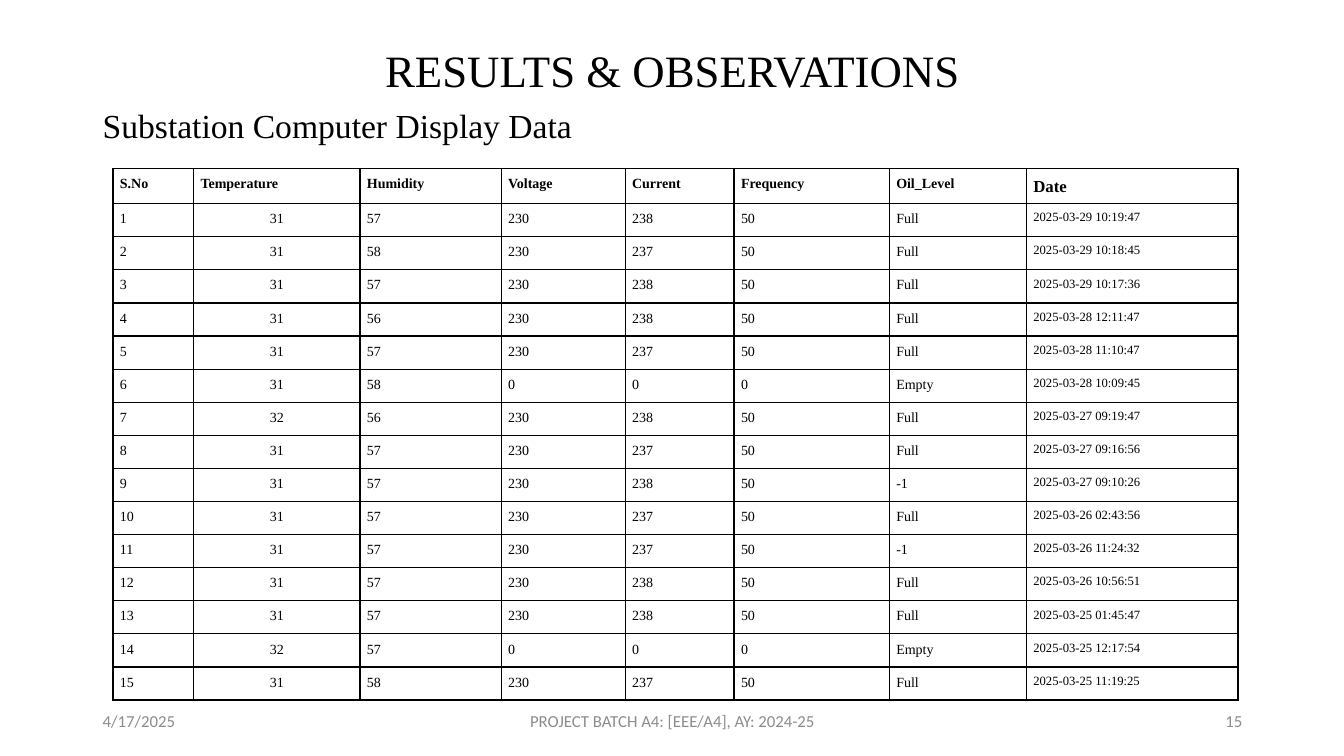
from dataclasses import dataclass

from lxml.etree import SubElement
from pptx import Presentation
from pptx.dml.color import RGBColor
from pptx.enum.text import MSO_ANCHOR, PP_ALIGN
from pptx.oxml.ns import qn
from pptx.util import Inches, Pt


@dataclass(frozen=True)
class Theme:
    serif: str = "Times New Roman"
    sans: str = "Calibri"
    ink: str = "000000"
    muted: str = "8C8C8C"
    title_size: int = 32
    subtitle_size: int = 24
    footer_size: int = 12
    date_header_size: int = 12
    cell_size: int = 10
    date_size: int = 9
    border_width: int = 1


HEADERS = ("S.No", "Temperature", "Humidity", "Voltage", "Current",
           "Frequency", "Oil_Level", "Date")
COLUMN_WIDTHS = (0.8, 1.65, 1.4, 1.23, 1.08, 1.54, 1.36, 2.1)
HEADER_HEIGHT = 0.35
TABLE_HEIGHT = 5.28
TEMPERATURE_COLUMN = HEADERS.index("Temperature")
DATE_COLUMN = HEADERS.index("Date")
READINGS = (
    (31, 57, 230, 238, 50, "Full", "2025-03-29 10:19:47"),
    (31, 58, 230, 237, 50, "Full", "2025-03-29 10:18:45"),
    (31, 57, 230, 238, 50, "Full", "2025-03-29 10:17:36"),
    (31, 56, 230, 238, 50, "Full", "2025-03-28 12:11:47"),
    (31, 57, 230, 237, 50, "Full", "2025-03-28 11:10:47"),
    (31, 58, 0, 0, 0, "Empty", "2025-03-28 10:09:45"),
    (32, 56, 230, 238, 50, "Full", "2025-03-27 09:19:47"),
    (31, 57, 230, 237, 50, "Full", "2025-03-27 09:16:56"),
    (31, 57, 230, 238, 50, "-1", "2025-03-27 09:10:26"),
    (31, 57, 230, 237, 50, "Full", "2025-03-26 02:43:56"),
    (31, 57, 230, 237, 50, "-1", "2025-03-26 11:24:32"),
    (31, 57, 230, 238, 50, "Full", "2025-03-26 10:56:51"),
    (31, 57, 230, 238, 50, "Full", "2025-03-25 01:45:47"),
    (32, 57, 0, 0, 0, "Empty", "2025-03-25 12:17:54"),
    (31, 58, 230, 237, 50, "Full", "2025-03-25 11:19:25"),
)


def apply(target, formats):
    for name, value in formats.items():
        setattr(target, name, value)


class SlideBuilder:
    def __init__(self, page, theme):
        self.page = page
        self.theme = theme

    def fill_text(self, frame, words, font, size, color, bold=False, **paragraph):
        para = frame.paragraphs[0]
        apply(para, paragraph)
        span = para.add_run()
        span.text = words
        apply(span.font, {"name": font, "size": Pt(size), "bold": bold})
        span.font.color.rgb = RGBColor.from_string(color)

    def text(self, words, left, top, width, height, font, size, color,
             anchor=MSO_ANCHOR.MIDDLE, **paragraph):
        box = self.page.shapes.add_textbox(
            Inches(left), Inches(top), Inches(width), Inches(height))
        apply(box.text_frame, {"word_wrap": True, "vertical_anchor": anchor})
        self.fill_text(box.text_frame, words, font, size, color, **paragraph)

    def footer(self, words, left, width, alignment):
        self.text(words, left, 6.95, width, 0.4, self.theme.sans,
                  self.theme.footer_size, self.theme.muted, alignment=alignment)

    def border(self, cell):
        properties = cell._tc.get_or_add_tcPr()
        for side in ("a:lnL", "a:lnR", "a:lnT", "a:lnB"):
            line = SubElement(properties, qn(side),
                              w=str(Pt(self.theme.border_width)))
            fill = SubElement(line, qn("a:solidFill"))
            SubElement(fill, qn("a:srgbClr"), val=self.theme.ink)

    def cell(self, cell, words, size, bold, alignment):
        apply(cell, {"margin_left": Inches(0.07), "margin_right": Inches(0.07),
                     "margin_top": 0, "margin_bottom": 0})
        self.border(cell)
        cell.fill.background()
        self.fill_text(cell.text_frame, words, self.theme.serif, size,
                       self.theme.ink, bold, alignment=alignment,
                       line_spacing=1.5)

    def readings_table(self, left, top):
        records = [HEADERS] + [(number, *reading) for number, reading
                               in enumerate(READINGS, 1)]
        table = self.page.shapes.add_table(
            len(records), len(HEADERS), Inches(left), Inches(top),
            Inches(sum(COLUMN_WIDTHS)), Inches(TABLE_HEIGHT)).table
        apply(table, {"first_row": False, "horz_banding": False})
        for column, width in zip(table.columns, COLUMN_WIDTHS):
            column.width = Inches(width)
        reading_height = (TABLE_HEIGHT - HEADER_HEIGHT) / len(READINGS)
        for row_index, record in enumerate(records):
            header = row_index == 0
            table.rows[row_index].height = Inches(
                HEADER_HEIGHT if header else reading_height)
            for column_index, value in enumerate(record):
                size, alignment = self.theme.cell_size, PP_ALIGN.LEFT
                if column_index == DATE_COLUMN:
                    size = (self.theme.date_header_size if header
                            else self.theme.date_size)
                if column_index == TEMPERATURE_COLUMN and not header:
                    alignment = PP_ALIGN.CENTER
                self.cell(table.cell(row_index, column_index), str(value),
                          size, header, alignment)


def main():
    deck = Presentation()
    apply(deck, {"slide_width": Inches(13.33), "slide_height": Inches(7.5)})
    theme = Theme()
    builder = SlideBuilder(deck.slides.add_slide(deck.slide_layouts[6]), theme)
    builder.text("RESULTS & OBSERVATIONS", 0.92, 0.4, 11.5, 0.64, theme.serif,
                 theme.title_size, theme.ink,
                 alignment=PP_ALIGN.CENTER, line_spacing=0.9)
    builder.text("Substation Computer Display Data", 0.92, 1.04, 11.5, 5.72,
                 theme.serif, theme.subtitle_size, theme.ink, MSO_ANCHOR.TOP,
                 line_spacing=0.9, space_before=Pt(10))
    builder.footer("4/17/2025", 0.92, 3, PP_ALIGN.LEFT)
    builder.footer("PROJECT BATCH A4: [EEE/A4], AY: 2024-25", 4.42, 4.5,
                   PP_ALIGN.CENTER)
    builder.footer("15", 9.42, 3, PP_ALIGN.RIGHT)
    builder.readings_table(1.12, 1.67)
    deck.save("out.pptx")


if __name__ == "__main__":
    main()
